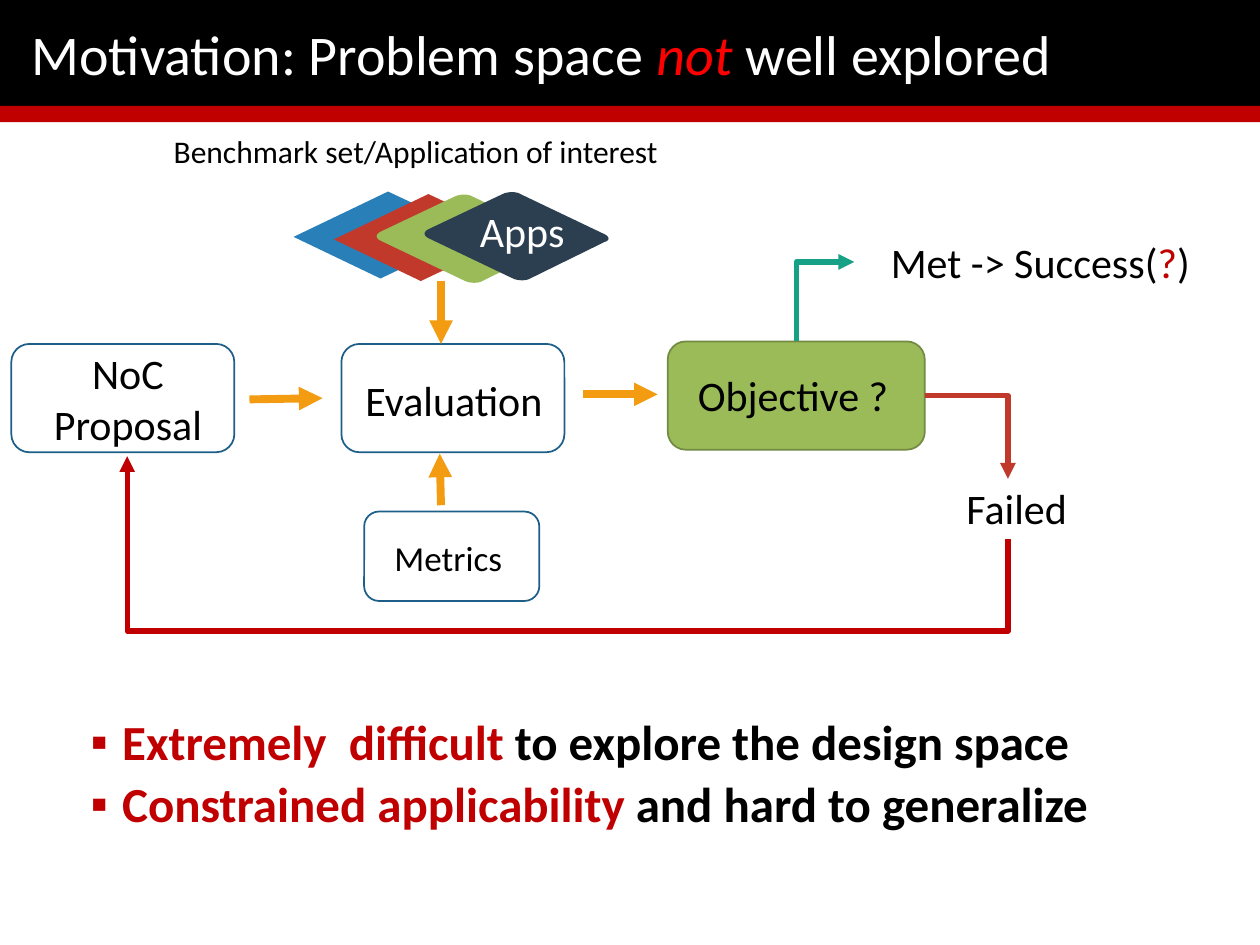
from lxml import etree
from pptx import Presentation
from pptx.dml.color import RGBColor
from pptx.enum import shapes as es, text as et
from pptx.oxml.ns import qn
from pptx.util import Inches, Pt

BLACK, WHITE, RED, GREEN = "000000", "FFFFFF", "C00000", "9BBB59"
BLUE_EDGE, ORANGE = "1E5F89", "F39C12"

# Rounded corners of an application diamond: four cubic curves
ROUND_CORNERS = [
    [(0.77, 0.02), (0.74, 0), (0.67, 0), (0.63, 0.02)],
    [(0.04, 0.3), (0, 0.32), (0, 0.35), (0.04, 0.37)],
    [(0.71, 0.69), (0.75, 0.71), (0.82, 0.71), (0.85, 0.69)],
    [(1.44, 0.4), (1.48, 0.39), (1.48, 0.36), (1.44, 0.34)],
]
SHARP_CORNERS = [(1.45, 0.33), (0.75, 0), (0, 0.36), (0.69, 0.69)]


def rgb(value):
    return RGBColor.from_string(value)


def set_values(target, values):
    for name, value in values.items():
        setattr(target, name, value)


def write_runs(paragraph, runs, size):
    """Each run is (text, colour, extra font values)."""
    for words, colour, extra in runs:
        run = paragraph.add_run()
        run.text = words
        set_values(run.font, {"name": "Calibri", "size": Pt(size), **extra})
        run.font.color.rgb = rgb(colour)


def paint(shape, fill=None, edge=None):
    shape.shadow.inherit = False
    if fill:
        shape.fill.solid()
        shape.fill.fore_color.rgb = rgb(fill)
    else:
        shape.fill.background()
    if edge:
        shape.line.color.rgb = rgb(edge)
        shape.line.width = Pt(1)
    else:
        shape.line.fill.background()


def add_box(slide, kind, at, fill=None, edge=None):
    box = slide.shapes.add_shape(kind, *map(Inches, at))
    paint(box, fill, edge)


def add_label(slide, at, lines, size=24, inset=0.1, align=et.PP_ALIGN.LEFT):
    frame = slide.shapes.add_textbox(*map(Inches, at)).text_frame
    set_values(frame, {"word_wrap": True, "margin_left": Inches(inset),
                       "margin_right": Inches(0.05)})
    for i, runs in enumerate(lines):
        paragraph = frame.add_paragraph() if i else frame.paragraphs[0]
        paragraph.alignment = align
        write_runs(paragraph, runs, size)


def add_diamond(slide, left, top, points, fill):
    corners = [(Inches(left + x), Inches(top + y)) for x, y in points]
    builder = slide.shapes.build_freeform(*corners[0], scale=1.0)
    builder.add_line_segments(corners[1:], close=True)
    paint(builder.convert_to_shape(), fill)


def curve_points(curve, steps=8):
    for i in range(steps + 1):
        t = i / steps
        weights = ((1 - t) ** 3, 3 * t * (1 - t) ** 2, 3 * t * t * (1 - t), t ** 3)
        yield tuple(sum(w * p[axis] for w, p in zip(weights, curve)) for axis in (0, 1))


def style_arrow(arrow, colour, width):
    arrow.line.color.rgb = rgb(colour)
    arrow.line.width = Pt(width)
    etree.SubElement(arrow.line._get_or_add_ln(), qn("a:tailEnd"), type="triangle")
    etree.SubElement(arrow._element.spPr, qn("a:effectLst"))


def add_arrow(slide, start, end):
    arrow = slide.shapes.add_connector(es.MSO_CONNECTOR.STRAIGHT, *map(Inches, start + end))
    style_arrow(arrow, ORANGE, 4.5)


def add_elbow(slide, start, end, colour, preset="bentConnector2", upright=False, adjust=None):
    """Bent arrow; an upright one leaves its start vertically, by a quarter turn."""
    (x1, y1), (x2, y2) = start, end
    dx, dy = x2 - x1, y2 - y1
    if upright:
        dx, dy = dy, -dx
    cx, cy = (x1 + x2) / 2, (y1 + y2) / 2
    ends = (cx - dx / 2, cy - dy / 2, cx + dx / 2, cy + dy / 2)
    arrow = slide.shapes.add_connector(es.MSO_CONNECTOR.ELBOW, *map(Inches, ends))
    properties = arrow._element.spPr
    if upright:
        properties.find(qn("a:xfrm")).set("rot", str(90 * 60000))
    geometry = properties.find(qn("a:prstGeom"))
    geometry.set("prst", preset)
    if adjust is not None:
        guides = geometry.find(qn("a:avLst"))
        if guides is None:
            guides = etree.SubElement(geometry, qn("a:avLst"))
        etree.SubElement(guides, qn("a:gd"), name="adj1", fmla=f"val {adjust}")
    style_arrow(arrow, colour, 3)


def place(holder, at):
    set_values(holder, dict(zip(("left", "top", "width", "height"), map(Inches, at))))
    set_values(holder.text_frame, {"word_wrap": True, "auto_size": et.MSO_AUTO_SIZE.NONE})
    return holder.text_frame


def fill_title(slide):
    frame = place(slide.shapes.title, (0.15, -0.04, 9.71, 0.99))
    frame.vertical_anchor = et.MSO_ANCHOR.MIDDLE
    heading = frame.paragraphs[0]
    set_values(heading, {"alignment": et.PP_ALIGN.LEFT, "line_spacing": 0.9})
    write_runs(heading, [("Motivation: Problem space ", WHITE, {}),
                         ("not ", "FF0000", {"italic": True}),
                         ("well explored", WHITE, {})], 32)


def fill_conclusions(slide):
    frame = place(slide.placeholders[1], (0.12, 5.65, 9.69, 0.51))
    conclusions = [("Extremely  difficult ", "to explore the design space"),
                   ("Constrained applicability ", "and hard to generalize")]
    for i, (stress, rest) in enumerate(conclusions):
        item = frame.add_paragraph() if i else frame.paragraphs[0]
        set_values(item, {"level": 1, "line_spacing": 0.9, "space_before": Pt(5 * i)})
        props = item._p.get_or_add_pPr()
        props.set("marL", str(Inches(0.75)))
        props.set("indent", str(Inches(-0.25)))
        colour = etree.SubElement(props, qn("a:buClr"))
        etree.SubElement(colour, qn("a:srgbClr"), val=RED)
        etree.SubElement(props, qn("a:buChar"), char="▪")
        write_runs(item, [(stress, RED, {"bold": True}), (rest, BLACK, {"bold": True})], 28)


def main():
    prs = Presentation()
    prs.slide_width, prs.slide_height = Inches(10), Inches(7.5)
    slide = prs.slides.add_slide(prs.slide_layouts[1])
    rect, rounded = es.MSO_SHAPE.RECTANGLE, es.MSO_SHAPE.ROUNDED_RECTANGLE

    # Header bands, moved behind the title
    tree = slide.shapes._spTree
    for position, (at, fill) in enumerate([((0, 0, 10, 0.84), BLACK),
                                           ((0, 0.84, 10, 0.13), RED)]):
        add_box(slide, rect, at, fill)
        tree.insert(2 + position, tree[-1])
    fill_title(slide)
    fill_conclusions(slide)

    # Stages of the flow
    add_box(slide, rounded, (5.3, 2.71, 2.04, 0.86), GREEN, "738A42")
    for at in [(0.09, 2.73, 1.77, 0.86), (2.71, 2.73, 1.77, 0.86), (2.89, 4.06, 1.39, 0.71)]:
        add_box(slide, rounded, at, edge=BLUE_EDGE)

    # Stack of applications
    round_points = [point for curve in ROUND_CORNERS for point in curve_points(curve)]
    for left, top, points, fill in [(2.33, 1.52, SHARP_CORNERS, "2980B9"),
                                    (2.65, 1.54, SHARP_CORNERS, "C0392B"),
                                    (2.98, 1.54, round_points, GREEN),
                                    (3.36, 1.52, round_points, "2C3F50")]:
        add_diamond(slide, left, top, points, fill)

    # Labels
    add_label(slide, (0.32, 2.71, 1.39, 0.91),
              [[("NoC", BLACK, {})], [("Proposal", BLACK, {})]],
              inset=0.05, align=et.PP_ALIGN.CENTER)
    for at, words, colour, size, inset in [
            ((2.84, 4.21, 1.26, 0.44), "Metrics", BLACK, 20, 0.29),
            ((2.57, 2.92, 1.85, 0.5), "Evaluation", BLACK, 24, 0.33),
            ((3.71, 1.58, 0.88, 0.5), "Apps", WHITE, 24, 0.1),
            ((5.44, 2.88, 1.83, 0.5), "Objective ?", BLACK, 24, 0.1),
            ((1.28, 1, 4.09, 0.4), "Benchmark set/Application of interest", BLACK, 18, 0.1),
            ((7.34, 3.78, 1.31, 0.5), "Failed", BLACK, 24, 0.33)]:
        add_label(slide, at, [[(words, colour, {})]], size, inset)
    add_label(slide, (6.78, 1.83, 2.79, 0.5),
              [[("Met -> Success(", BLACK, {}), ("?", RED, {}), (")", BLACK, {})]], inset=0.29)

    # Arrows between stages
    for start, end in [((1.98, 3.17), (2.56, 3.16)), ((3.5, 2.23), (3.5, 2.73)),
                       ((4.63, 3.13), (5.22, 3.13)), ((3.5, 4.01), (3.49, 3.6))]:
        add_arrow(slide, start, end)

    # Outcomes and the way back to the proposal
    add_elbow(slide, (6.32, 2.71), (6.78, 2.08), "16A085", upright=True)
    add_elbow(slide, (7.34, 3.14), (8, 3.8), "C0392B")
    add_elbow(slide, (8, 4.28), (1.01, 3.62), RED, "bentConnector3", True, -110500)

    prs.save("out.pptx")


if __name__ == "__main__":
    main()
